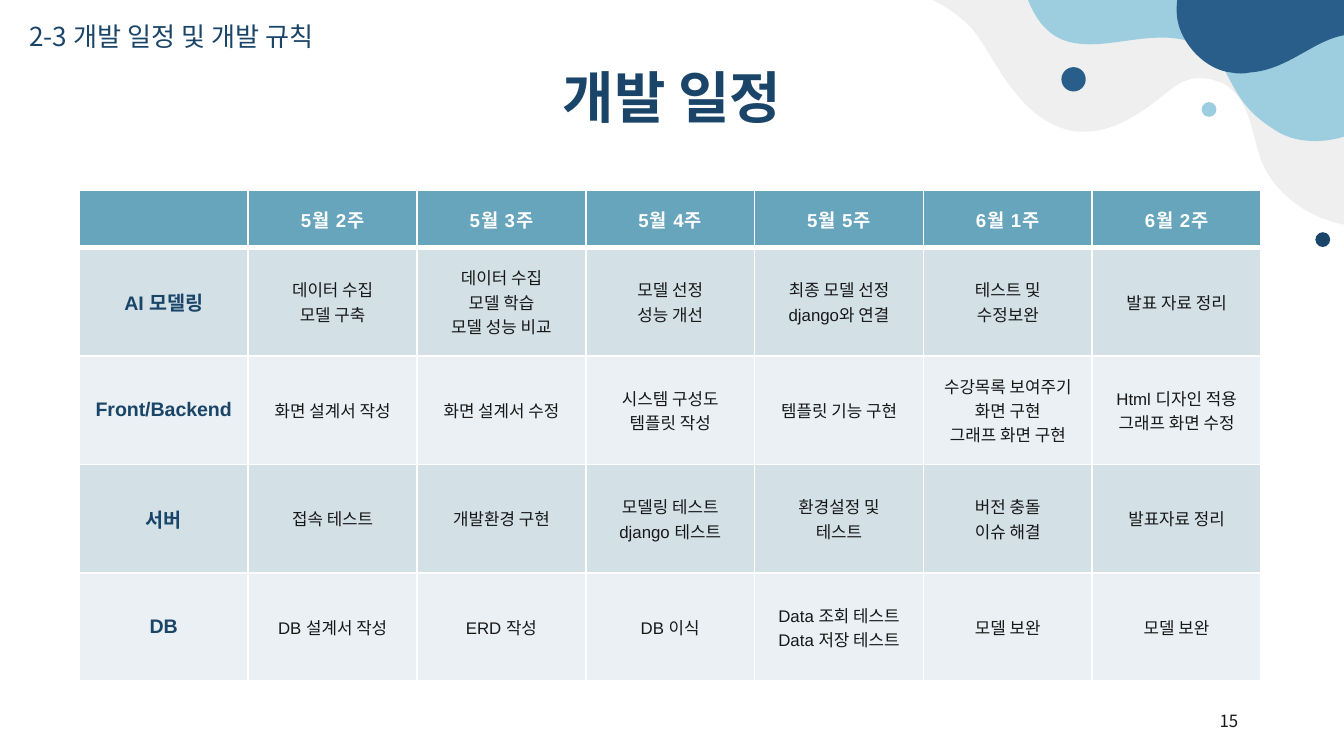
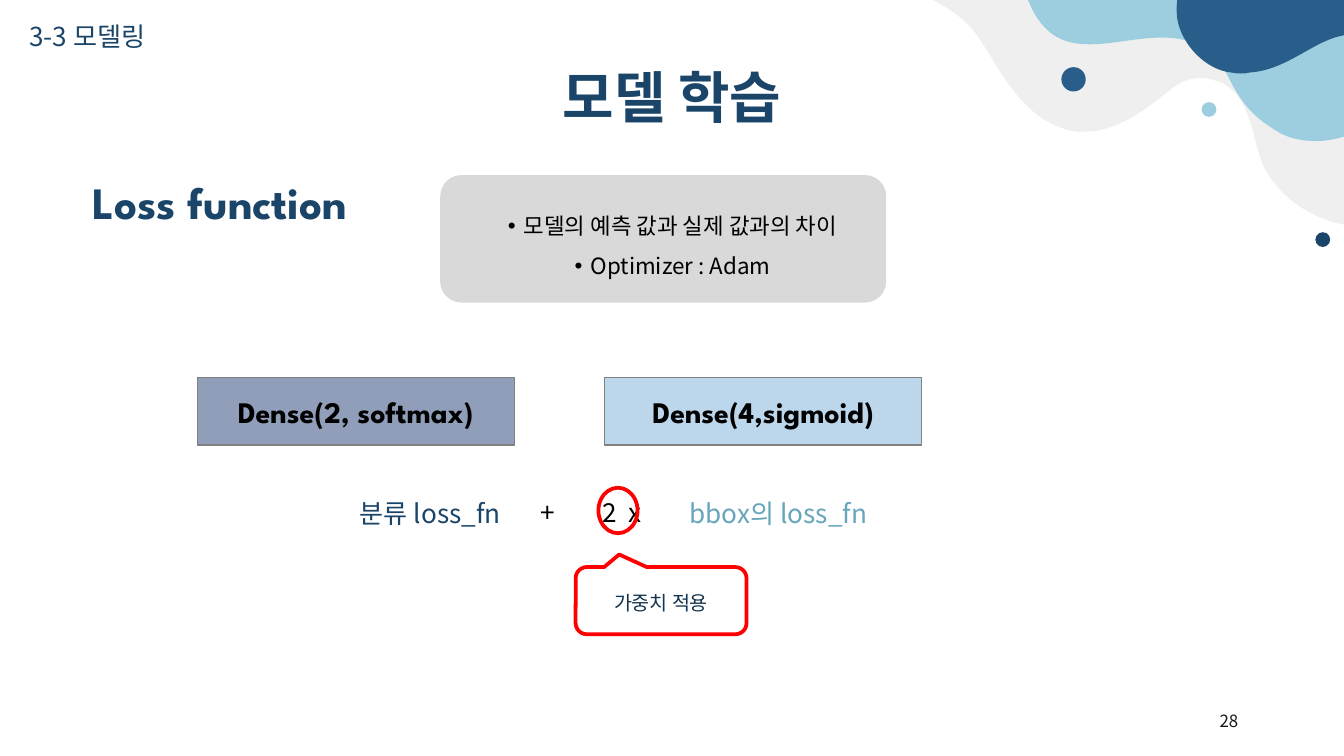
from dataclasses import dataclass

import pptx
import pptx.dml.color
import pptx.enum.shapes
import pptx.enum.text
import pptx.oxml.ns
import pptx.util
from lxml import etree

Cm = pptx.util.Cm
Pt = pptx.util.Pt
qn = pptx.oxml.ns.qn
SHAPE = pptx.enum.shapes.MSO_SHAPE
ALIGN = pptx.enum.text.PP_ALIGN
ANCHOR = pptx.enum.text.MSO_ANCHOR


@dataclass(frozen=True)
class Theme:
    sans: str = "Noto Sans CJK KR"
    display: str = "League Spartan"
    table: str = "Arial"
    navy: str = "1A4568"
    blue: str = "285E89"
    sky: str = "9DCEDF"
    teal: str = "66A5BB"
    mist: str = "EFEFEF"
    ink: str = "181818"
    black: str = "000000"
    white: str = "FFFFFF"
    red: str = "FF0000"
    gray: str = "808080"
    panel: str = "D9D9D9"
    note: str = "13344E"
    softmax: str = "002060"
    sigmoid: str = "64A1D2"
    bands: tuple = ("D3E1E7", "EAF0F3")
    title_pt: float = 30
    heading_pt: float = 24
    layer_pt: float = 16
    text_pt: float = 14
    list_pt: float = 12
    label_pt: float = 10.5
    head_pt: float = 10
    small_pt: float = 9


T = Theme()


@dataclass(frozen=True)
class Box:
    """Left, top, width and height in centimetres."""
    left: float
    top: float
    width: float
    height: float

    def emu(self) -> tuple:
        return Cm(self.left), Cm(self.top), Cm(self.width), Cm(self.height)


@dataclass(frozen=True)
class Style:
    size: float
    color: str
    font: str = T.sans
    bold: bool = False
    align: ALIGN = ALIGN.LEFT
    spacing: int = 0


@dataclass(frozen=True)
class Blob:
    """Outline in hundredths of an inch: 6 numbers make a curve, 2 a line."""
    color: str
    start: tuple
    segments: tuple


@dataclass(frozen=True)
class Dot:
    color: str
    left: float
    top: float
    size: float


@dataclass(frozen=True)
class Layer:
    text: str
    left: float
    color: str


BLOBS = (
    Blob(T.mist, (695, -13), (
        (679, -13, 665, -12, 666, -9), (668, -6, 689, -2, 694, 0),
        (704, 5, 713, 11, 721, 19), (739, 37, 755, 91, 801, 98),
        (803, 98, 805, 98, 807, 98), (838, 98, 865, 70, 876, 63),
        (881, 60, 887, 58, 893, 58), (899, 58, 905, 60, 910, 62),
        (931, 74, 931, 100, 939, 121), (950, 146, 976, 164, 1005, 168),
        (1003, 112, 1007, 57, 1016, 2), (977, -4, 937, -6, 898, -7),
        (844, -8, 789, -10, 735, -12), (731, -12, 712, -13, 695, -13))),
    Blob(T.sky, (979, 105), (
        (1005, 105, 1026, 89, 1026, 89), (1026, -8), (762, -8),
        (773, 26, 790, 33, 811, 33), (828, 33, 846, 28, 865, 28),
        (872, 28, 879, 29, 886, 31), (918, 39, 908, 71, 946, 95),
        (957, 103, 968, 105, 979, 105))),
    Blob(T.blue, (930, 54), (
        (926, 55, 921, 55, 916, 54), (897, 52, 879, 33, 876, 14),
        (874, 0, 878, -21, 893, -33), (899, -37, 904, -39, 909, -39),
        (913, -39, 917, -39, 921, -39), (967, -33, 1015, -27, 1061, -31),
        (1065, -31, 1069, -32, 1074, -32), (1072, -22, 1073, -11, 1071, 0),
        (1069, 10, 1065, 27, 1055, 33), (1052, 34, 1050, 35, 1047, 35),
        (1035, 36, 1023, 25, 1004, 26), (1003, 26, 1003, 26, 1002, 26),
        (978, 29, 959, 52, 930, 54))),
)
DOTS = (Dot(T.blue, 20.06, 1.27, 0.46), Dot(T.sky, 22.71, 1.93, 0.28),
        Dot(T.navy, 24.86, 4.39, 0.28))

SCHEDULE = (
    ("", "5월 2주", "5월 3주", "5월 4주", "5월 5주", "6월 1주", "6월 2주"),
    ("AI 모델링", "데이터 수집\n모델 구축", "데이터 수집\n모델 학습\n모델 성능 비교",
     "모델 선정\n성능 개선", "최종 모델 선정\ndjango와 연결", "테스트 및\n수정보완", "발표 자료 정리"),
    ("Front/Backend", "화면 설계서 작성", "화면 설계서 수정", "시스템 구성도\n템플릿 작성",
     "템플릿 기능 구현", "수강목록 보여주기\n화면 구현\n그래프 화면 구현",
     "Html 디자인 적용\n그래프 화면 수정"),
    ("서버", "접속 테스트", "개발환경 구현", "모델링 테스트\ndjango 테스트",
     "환경설정 및\n테스트", "버전 충돌\n이슈 해결", "발표자료 정리"),
    ("DB", "DB 설계서 작성", "ERD 작성", "DB 이식",
     "Data 조회 테스트\nData 저장 테스트", "모델 보완", "모델 보완"),
)
LAYERS = (Layer("Dense(2, softmax)", 3.73, T.softmax),
          Layer("Dense(4,sigmoid)", 11.43, T.sigmoid))


def rgb(color: str) -> pptx.dml.color.RGBColor:
    return pptx.dml.color.RGBColor.from_string(color)


def write(tf, text: str, style: Style) -> None:
    tf.text = text
    for p in tf.paragraphs:
        p.alignment = style.align
        for r in p.runs:
            f = r.font
            f.name, f.size, f.bold = style.font, Pt(style.size), style.bold
            f.color.rgb = rgb(style.color)
            if style.spacing:
                r._r.get_or_add_rPr().set("spc", str(style.spacing))


def set_margins(tf, x: float, y: float) -> None:
    tf.margin_left = tf.margin_right = Cm(x)
    tf.margin_top = tf.margin_bottom = Cm(y)


def paint(sp, fill: str = "", line: str = "", width: float = 1, alpha: int = 100) -> None:
    sp.shadow.inherit = False
    if fill:
        sp.fill.solid()
        sp.fill.fore_color.rgb = rgb(fill)
        if alpha < 100:
            clr = sp.element.spPr.find(".//" + qn("a:srgbClr"))
            etree.SubElement(clr, qn("a:alpha"), val=str(alpha * 1000))
    else:
        sp.fill.background()
    if line:
        sp.line.color.rgb = rgb(line)
        sp.line.width = Pt(width)
    else:
        sp.line.fill.background()


def add_text(shapes, box: Box, text: str, style: Style):
    sp = shapes.add_textbox(*box.emu())
    sp.text_frame.word_wrap = True
    write(sp.text_frame, text, style)
    return sp


def add_blob(shapes, blob: Blob):
    """Lay all points as lines, then join each run of three into a curve."""
    points = [seg[i:i + 2] for seg in blob.segments for i in range(0, len(seg), 2)]
    fb = shapes.build_freeform(*blob.start, scale=Cm(0.0254))
    fb.add_line_segments(points)
    sp = fb.convert_to_shape()
    lines = iter(sp.element.spPr.findall(".//" + qn("a:lnTo")))
    for seg in blob.segments:
        group = [next(lines) for _ in range(len(seg) // 2)]
        if len(group) == 3:
            curve = etree.Element(qn("a:cubicBezTo"))
            group[0].addprevious(curve)
            for line in group:
                curve.append(line[0])
                line.getparent().remove(line)
    paint(sp, blob.color)
    return sp


def decorate_master(prs, s) -> None:
    """Draw the corner waves and dots, then hand them to the slide master."""
    art = [add_blob(s.shapes, blob) for blob in BLOBS]
    for dot in DOTS:
        box = Box(dot.left, dot.top, dot.size, dot.size)
        sp = s.shapes.add_shape(SHAPE.OVAL, *box.emu())
        paint(sp, dot.color)
        art.append(sp)
    for i, sp in enumerate(art):
        sp.element.nvSpPr.cNvPr.set("id", str(20 + i))
        prs.slide_master.shapes.element.insert(2 + i, sp.element)


def add_slide(prs, layout: int, section: str, title: str, number: int):
    s = prs.slides.add_slide(prs.slide_layouts[layout])
    sp = s.shapes.title
    sp.left, sp.top, sp.width, sp.height = Box(1.5, 1.02, 22.4, 1.6).emu()
    tf = sp.text_frame
    tf.auto_size = pptx.enum.text.MSO_AUTO_SIZE.NONE
    tf.vertical_anchor = ANCHOR.MIDDLE
    set_margins(tf, 0.25, 0.25)
    write(tf, title, Style(T.title_pt, T.navy, bold=True, align=ALIGN.CENTER))
    add_text(s.shapes, Box(0.3, 0.26, 7.4, 0.86), section, Style(T.text_pt, T.navy))
    sp = add_text(s.shapes, Box(17.93, 13.24, 5.72, 0.76), str(number),
                  Style(T.small_pt, T.ink, align=ALIGN.RIGHT))
    sp.text_frame.vertical_anchor = ANCHOR.MIDDLE
    return s


def set_borders(cell, top: float, bottom: float) -> None:
    tcpr = cell._tc.get_or_add_tcPr()
    for i, (side, width) in enumerate((("L", 1), ("R", 1), ("T", top), ("B", bottom))):
        ln = etree.Element(qn(f"a:ln{side}"), w=str(Pt(width)))
        fill = etree.SubElement(ln, qn("a:solidFill"))
        etree.SubElement(fill, qn("a:srgbClr"), val=T.white)
        tcpr.insert(i, ln)


def add_schedule(s) -> None:
    rows, cols = len(SCHEDULE), len(SCHEDULE[0])
    table = s.shapes.add_table(rows, cols, *Box(1.5, 3.6, 22.33, 9.28).emu()).table
    head = Style(T.head_pt, T.white, T.table, True, ALIGN.CENTER, spacing=60)
    label = Style(T.label_pt, T.navy, T.table, True, ALIGN.CENTER)
    body = Style(T.small_pt, T.ink, T.table, align=ALIGN.CENTER)
    for col in table.columns:
        col.width = Cm(3.19)
    for i, texts in enumerate(SCHEDULE):
        table.rows[i].height = Cm(2.05 if i else 1.08)
        for j, text in enumerate(texts):
            cell = table.cell(i, j)
            cell.vertical_anchor = ANCHOR.MIDDLE
            cell.fill.solid()
            cell.fill.fore_color.rgb = rgb(T.bands[(i - 1) % 2] if i else T.teal)
            set_borders(cell, 3 if i == 1 else 1, 1 if i else 3)
            write(cell.text_frame, text, head if i == 0 else body if j else label)


def fill_list(sp, box: Box, text: str) -> None:
    """Turn the body placeholder into a rounded panel with bullets."""
    sp.left, sp.top, sp.width, sp.height = box.emu()
    geom = etree.SubElement(sp.element.spPr, qn("a:prstGeom"), prst="roundRect")
    etree.SubElement(geom, qn("a:avLst"))
    paint(sp, T.panel)
    tf = sp.text_frame
    tf.auto_size = pptx.enum.text.MSO_AUTO_SIZE.NONE
    tf.vertical_anchor = ANCHOR.MIDDLE
    set_margins(tf, 0.18, 0.1)
    write(tf, text, Style(T.list_pt, T.black, align=ALIGN.CENTER))
    for p in tf.paragraphs:
        ppr = p._p.get_or_add_pPr()
        ppr.set("marL", str(Cm(0.66)))
        ppr.set("indent", str(Cm(-0.3)))
        clr = etree.SubElement(ppr, qn("a:buClr"))
        etree.SubElement(clr, qn("a:srgbClr"), val=T.black)
        etree.SubElement(ppr, qn("a:buChar"), char="•")
        p.line_spacing, p.space_before = 1.5, Pt(0)


def add_loss_formula(s) -> None:
    shapes = s.shapes.add_group_shape().shapes
    add_text(shapes, Box(6.55, 9.27, 3.28, 0.86), "분류 loss_fn", Style(T.text_pt, T.navy))
    add_text(shapes, Box(12.78, 9.27, 4.09, 0.86), "bbox의 loss_fn", Style(T.text_pt, T.teal))
    sp = add_text(shapes, Box(9.96, 9.25, 2.77, 0.86), "+\t2\tx", Style(T.text_pt, T.black))
    tabs = etree.SubElement(sp.text_frame.paragraphs[0]._p.get_or_add_pPr(), qn("a:tabLst"))
    for pos in (1.17, 1.66):
        etree.SubElement(tabs, qn("a:tab"), pos=str(Cm(pos)), algn="l")
    # Weight marker and its callout
    sp = shapes.add_shape(SHAPE.OVAL, *Box(11.31, 9.22, 0.74, 0.86).emu())
    paint(sp, line=T.red, width=2)
    sp = shapes.add_shape(SHAPE.ROUNDED_RECTANGULAR_CALLOUT, *Box(10.88, 10.72, 3.23, 1.27).emu())
    sp.adjustments[0], sp.adjustments[1] = -0.245, -0.688
    paint(sp, line=T.red, width=2)
    tf = sp.text_frame
    set_margins(tf, 0.18, 0.1)
    write(tf, "가중치 적용", Style(T.label_pt, T.note, align=ALIGN.CENTER))
    tf.paragraphs[0].line_spacing = 1.15


def main() -> None:
    prs = pptx.Presentation()
    prs.slide_width, prs.slide_height = Cm(25.4), Cm(14.29)

    # Schedule
    s = add_slide(prs, 5, "2-3 개발 일정 및 개발 규칙", "개발 일정", 15)
    decorate_master(prs, s)
    add_schedule(s)

    # Model training
    s = add_slide(prs, 1, "3-3 모델링", "모델 학습", 28)
    add_text(s.shapes, Box(1.5, 3.17, 9.86, 1.27), "Loss function",
             Style(T.heading_pt, T.navy, T.display, True))
    fill_list(s.placeholders[1], Box(8.32, 3.31, 8.43, 2.41),
              "모델의 예측 값과 실제 값과의 차이\nOptimizer : Adam")
    for layer in LAYERS:
        sp = s.shapes.add_shape(SHAPE.RECTANGLE, *Box(layer.left, 7.14, 5.99, 1.27).emu())
        paint(sp, layer.color, T.gray, 0.75, alpha=43)
        set_margins(sp.text_frame, 0.25, 0.25)
        write(sp.text_frame, layer.text,
              Style(T.layer_pt, T.black, T.display, True, ALIGN.CENTER))
    add_loss_formula(s)
    prs.save("out.pptx")


if __name__ == "__main__":
    main()
